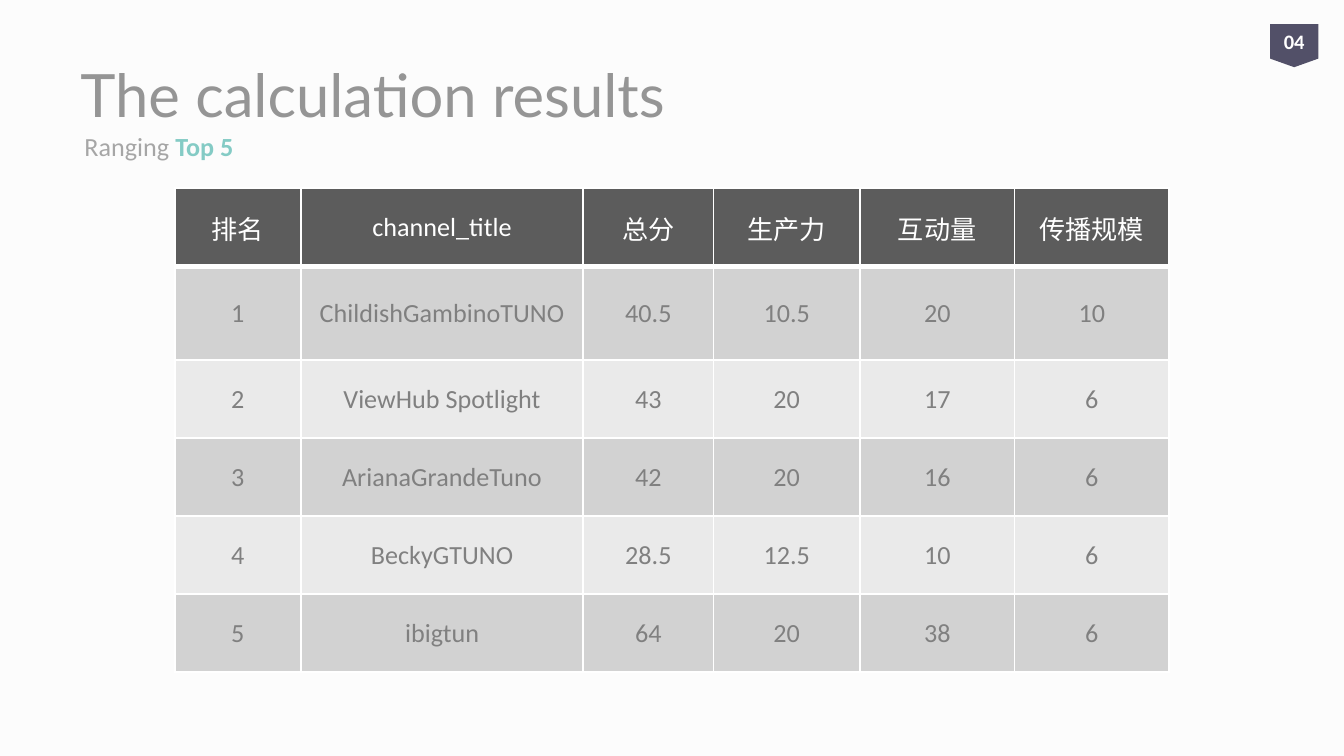
from lxml import etree
from pptx import Presentation
from pptx.dml.color import RGBColor
from pptx.enum.shapes import MSO_SHAPE
from pptx.enum.text import MSO_ANCHOR, PP_ALIGN
from pptx.oxml.ns import qn
from pptx.util import Pt

MIDDLE = MSO_ANCHOR.MIDDLE
CENTER = PP_ALIGN.CENTER
PAGE_TAG = MSO_SHAPE.FLOWCHART_OFFPAGE_CONNECTOR

BACKGROUND = RGBColor(0xFC, 0xFC, 0xFC)
WHITE = RGBColor(0xFF, 0xFF, 0xFF)
TITLE_GRAY = RGBColor(0x95, 0x95, 0x95)
SUBTITLE_GRAY = RGBColor(0xA6, 0xA6, 0xA6)
TEAL = RGBColor(0x84, 0xCB, 0xC5)
PURPLE = RGBColor(0x52, 0x50, 0x68)
HEADER_FILL = RGBColor(0x5C, 0x5C, 0x5C)
BODY_TEXT = RGBColor(0x80, 0x80, 0x80)
BAND_FILLS = (RGBColor(0xEA, 0xEA, 0xEA), RGBColor(0xD2, 0xD2, 0xD2))

COLUMN_WIDTHS = (67.68, 151.2, 69.84, 78.48, 82.8, 82.8)
ROW_HEIGHTS = (41.76, 50.4, 41.76, 41.76, 41.76, 41.76)
RESULTS = (
    ("排名", "channel_title", "总分", "生产力", "互动量", "传播规模"),
    ("1", "ChildishGambinoTUNO", "40.5", "10.5", "20", "10"),
    ("2", "ViewHub Spotlight", "43", "20", "17", "6"),
    ("3", "ArianaGrandeTuno", "42", "20", "16", "6"),
    ("4", "BeckyGTUNO", "28.5", "12.5", "10", "6"),
    ("5", "ibigtun", "64", "20", "38", "6"),
)


def style_span(span, size, color, font="Calibri", bold=False):
    span.font.size = Pt(size)
    span.font.name = font
    span.font.color.rgb = color
    span.font.bold = bold


def add_text(page, left, top, width, height, spans):
    """Add one line of text; each span is (text, style)."""
    box = page.shapes.add_textbox(Pt(left), Pt(top), Pt(width), Pt(height))
    frame = box.text_frame
    frame.word_wrap = True
    frame.vertical_anchor = MIDDLE
    for text, style in spans:
        span = frame.paragraphs[0].add_run()
        span.text = text
        style_span(span, **style)


def add_page_tag(page, number):
    tag = page.shapes.add_shape(PAGE_TAG, Pt(680.4), Pt(12.96), Pt(25.92), Pt(23.04))
    tag.shadow.inherit = False
    tag.fill.solid()
    tag.fill.fore_color.rgb = PURPLE
    tag.line.fill.background()
    frame = tag.text_frame
    frame.margin_left = frame.margin_right = 0
    frame.margin_top = frame.margin_bottom = 0
    frame.vertical_anchor = MIDDLE
    frame.text = number
    para = frame.paragraphs[0]
    para.alignment = CENTER
    style_span(para.runs[0], 11, WHITE, bold=True)


def set_borders(cell, top, bottom):
    """Draw white borders; they come before the fill in the cell properties."""
    properties = cell._tc.get_or_add_tcPr()
    widths = {"a:lnL": 1, "a:lnR": 1, "a:lnT": top, "a:lnB": bottom}
    for position, (name, width) in enumerate(widths.items()):
        line = etree.Element(qn(name), w=str(Pt(width)))
        fill = etree.SubElement(line, qn("a:solidFill"))
        etree.SubElement(fill, qn("a:srgbClr"), val=str(WHITE))
        properties.insert(position, line)


def fill_cell(cell, text, row):
    header = row == 0
    cell.text = text
    cell.vertical_anchor = MIDDLE
    cell.margin_left = cell.margin_right = cell.margin_top = Pt(0.72)
    cell.margin_bottom = 0
    cell.fill.solid()
    cell.fill.fore_color.rgb = HEADER_FILL if header else BAND_FILLS[row % 2]
    para = cell.text_frame.paragraphs[0]
    para.alignment = CENTER
    style_span(para.runs[0], 14, WHITE if header else BODY_TEXT)
    # The rule between header and body is thicker
    set_borders(cell, top=3 if row == 1 else 1, bottom=3 if header else 1)


def add_results_table(page):
    frame = page.shapes.add_table(
        len(RESULTS), len(COLUMN_WIDTHS), Pt(93.6), Pt(100.8),
        Pt(sum(COLUMN_WIDTHS)), Pt(sum(ROW_HEIGHTS)))
    table = frame.table
    for column, width in zip(table.columns, COLUMN_WIDTHS):
        column.width = Pt(width)
    for row, height in zip(table.rows, ROW_HEIGHTS):
        row.height = Pt(height)
    for row, values in enumerate(RESULTS):
        for column, text in enumerate(values):
            fill_cell(table.cell(row, column), text, row)


def main():
    deck = Presentation()
    deck.slide_width, deck.slide_height = Pt(720), Pt(405)
    page = deck.slides.add_slide(deck.slide_layouts[6])
    page.background.fill.solid()
    page.background.fill.fore_color.rgb = BACKGROUND

    # Heading
    add_text(page, 36, 16.56, 648, 67.68, [
        ("The calculation results", dict(size=32, color=TITLE_GRAY, font="Lato"))])
    add_text(page, 38.16, 64.08, 648, 28.8, [
        ("Ranging ", dict(size=14, color=SUBTITLE_GRAY)),
        ("Top 5", dict(size=14, color=TEAL, bold=True))])
    add_page_tag(page, "04")

    # Ranking
    add_results_table(page)
    deck.save("out.pptx")


main()
